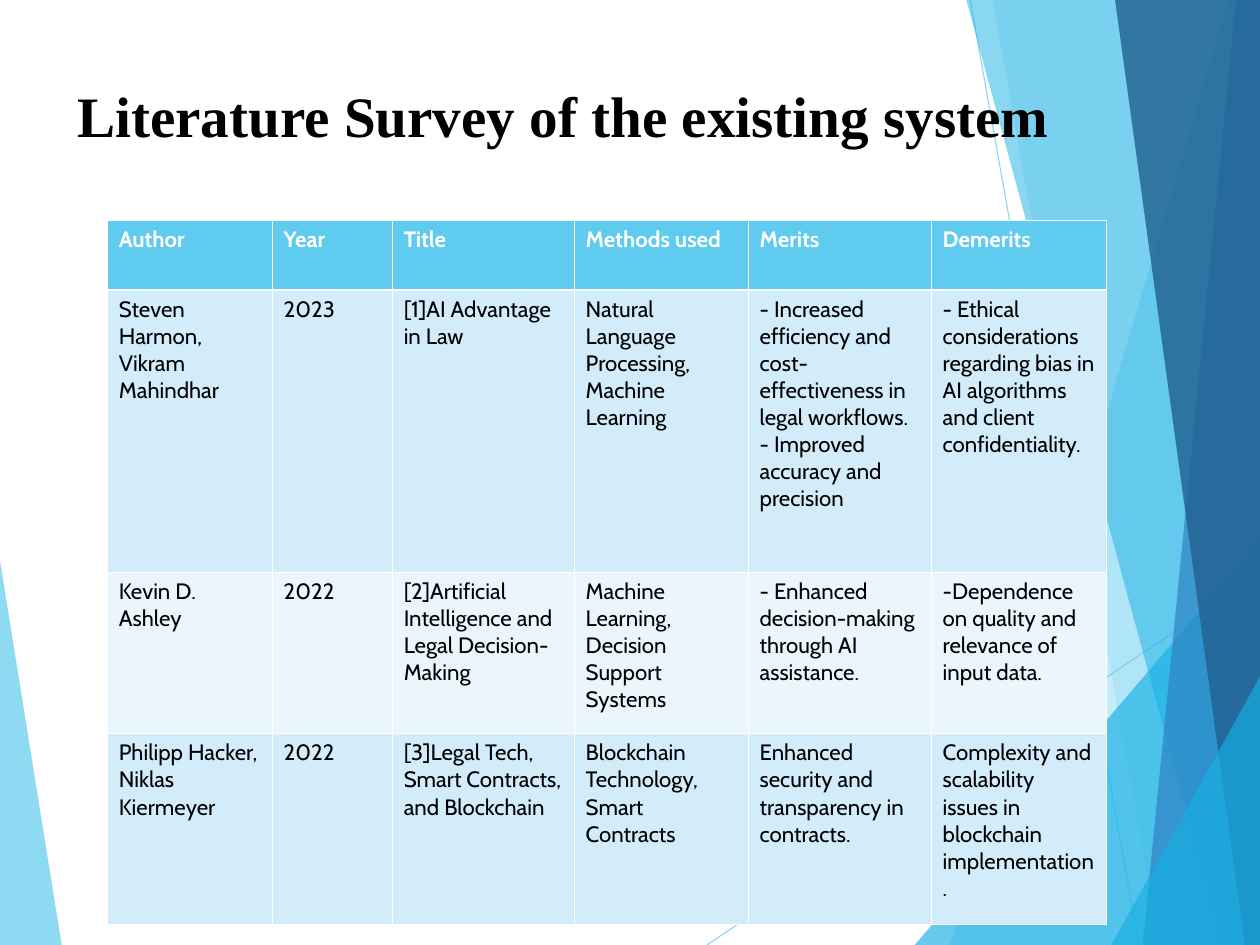
import pptx
import pptx.dml.color
import pptx.enum.shapes
import pptx.enum.text
import pptx.oxml.ns
import pptx.util
import lxml.etree

WIDTH, HEIGHT = pptx.util.Cm(28), pptx.util.Cm(21)
SKY, CYAN, BLUE, NAVY = "5FCBEF", "17B0E4", "2E83C3", "236292"
PALE, PALEST, WHITE, BLACK = "D2ECF9", "EAF6FC", "FFFFFF", "000000"

LEFT_WEDGE = (SKY, 70, [(0, 59.3), (4.9, 100), (0, 100)])
RAYS = [((56.1, 100), (100, 60.8)), ((77, 0), (90.4, 100))]
RIGHT_FACETS = [
    (SKY, 36, [(97.5, 0), (75.4, 100), (100, 100), (100, 0)]),
    (SKY, 20, [(78.8, 0), (92, 100), (100, 100), (100, 0)]),
    (CYAN, 66, [(72.6, 100), (100, 57.2), (100, 100)]),
    (CYAN, 50, [(76.7, 0), (97, 100), (100, 100), (100, 0)]),
    (BLUE, 70, [(98.1, 0), (90.7, 100), (100, 100), (100, 0)]),
    (NAVY, 82, [(88.5, 0), (98.8, 100), (100, 100), (100, 0)]),
    (CYAN, 66, [(88.2, 100), (100, 71.6), (100, 100)]),
]

COLUMN_SHARES = [1.44, 1.05, 1.59, 1.52, 1.6, 1.53]
ROW_SHARES = [0.61, 2.47, 1.41, 1.67]
SURVEY = [
    ["Author", "Year", "Title", "Methods used", "Merits", "Demerits"],
    ["Steven Harmon,\nVikram Mahindhar", "2023", "[1]AI Advantage in Law",
     "Natural Language Processing, Machine Learning",
     "- Increased efficiency and cost-effectiveness in legal workflows.\v"
     "- Improved accuracy and precision",
     "- Ethical considerations regarding bias in AI algorithms and client confidentiality."],
    ["Kevin D. Ashley", "2022", "[2]Artificial Intelligence and Legal Decision-Making",
     "Machine Learning, Decision Support Systems",
     "- Enhanced decision-making through AI assistance.",
     "-Dependence on quality and relevance of input data."],
    ["Philipp Hacker, Niklas Kiermeyer", "2022",
     "[3]Legal Tech, Smart Contracts, and Blockchain",
     "Blockchain Technology, Smart Contracts",
     "Enhanced security and transparency in contracts.",
     "Complexity and scalability issues in blockchain implementation."],
]


def color(value):
    return pptx.dml.color.RGBColor.from_string(value)


def add_xml(parent, tag, **attributes):
    return lxml.etree.SubElement(parent, pptx.oxml.ns.qn(tag), **attributes)


def set_opacity(element, percent):
    for tint in element.spPr.iter(pptx.oxml.ns.qn("a:srgbClr")):
        add_xml(tint, "a:alpha", val=str(percent * 1000))


def write(text_frame, text, font, size, ink=BLACK, bold=False, spacing=1.0):
    text_frame.word_wrap = True
    for index, line in enumerate(text.split("\n")):
        paragraph = text_frame.add_paragraph() if index else text_frame.paragraphs[0]
        paragraph.text = line
        paragraph.line_spacing = spacing
        for run in paragraph.runs:
            run.font.name = font
            run.font.size = pptx.util.Pt(size)
            run.font.bold = bold
            run.font.color.rgb = color(ink)


def place(box, point):
    left, top, width, height = box
    return round(left + width * point[0] / 100), round(top + height * point[1] / 100)


def add_facet(slide, box, fill, opacity, outline):
    start, *others = [place(box, point) for point in outline]
    builder = slide.shapes.build_freeform(*start)
    builder.add_line_segments(others, close=True)
    facet = builder.convert_to_shape()
    facet.shadow.inherit = False
    facet.fill.solid()
    facet.fill.fore_color.rgb = color(fill)
    facet.line.fill.background()
    set_opacity(facet._element, opacity)


def add_ray(slide, box, start, end):
    ray = slide.shapes.add_connector(
        pptx.enum.shapes.MSO_CONNECTOR.STRAIGHT, *place(box, start), *place(box, end))
    ray.line.color.rgb = color(SKY)
    ray.line.width = pptx.util.Pt(0.75)
    set_opacity(ray._element, 70)
    add_xml(ray._element.spPr, "a:effectLst")


def add_backdrop(slide, box):
    add_facet(slide, box, *LEFT_WEDGE)
    for start, end in RAYS:
        add_ray(slide, box, start, end)
    for facet in RIGHT_FACETS:
        add_facet(slide, box, *facet)


def add_title(slide, box):
    text_frame = slide.shapes.add_textbox(*box).text_frame
    text_frame.vertical_anchor = pptx.enum.text.MSO_ANCHOR.MIDDLE
    text_frame.margin_top = pptx.util.Inches(0.03)
    text_frame.margin_left = text_frame.margin_right = text_frame.margin_bottom = 0
    write(text_frame, " Literature Survey of the existing system",
          font="Times New Roman", size=36, bold=True, spacing=0.93)


def add_borders(cell, row):
    thick_side = {0: "B", 1: "T"}.get(row)
    properties = cell._tc.get_or_add_tcPr()
    for side in "LRTB":
        points = 1.47 if side == thick_side else 0.45
        border = add_xml(properties, f"a:ln{side}", w=str(pptx.util.Pt(points)))
        add_xml(add_xml(border, "a:solidFill"), "a:srgbClr", val=WHITE)


def add_survey_table(slide, box):
    width, height = box[2:]
    table = slide.shapes.add_table(len(ROW_SHARES), len(COLUMN_SHARES), *box).table
    for column, share in zip(table.columns, COLUMN_SHARES):
        column.width = round(width * share / sum(COLUMN_SHARES))
    for row, share in zip(table.rows, ROW_SHARES):
        row.height = round(height * share / sum(ROW_SHARES))
    for row, entries in enumerate(SURVEY):
        header = row == 0
        fill = SKY if header else PALE if row % 2 else PALEST
        for column, entry in enumerate(entries):
            cell = table.cell(row, column)
            add_borders(cell, row)
            cell.fill.solid()
            cell.fill.fore_color.rgb = color(fill)
            write(cell.text_frame, entry, font="Cabin", size=14,
                  ink=WHITE if header else BLACK, bold=header)


def main():
    presentation = pptx.Presentation()
    presentation.slide_width, presentation.slide_height = WIDTH, HEIGHT
    slide = presentation.slides.add_slide(presentation.slide_layouts[6])
    add_backdrop(slide, (0, 0, WIDTH, HEIGHT))
    add_title(slide, [pptx.util.Inches(length) for length in (0.55, 0.33, 9.92, 1.38)])
    add_survey_table(slide, [pptx.util.Inches(length) for length in (0.94, 1.93, 8.74, 6.16)])
    presentation.save("out.pptx")


if __name__ == "__main__":
    main()
